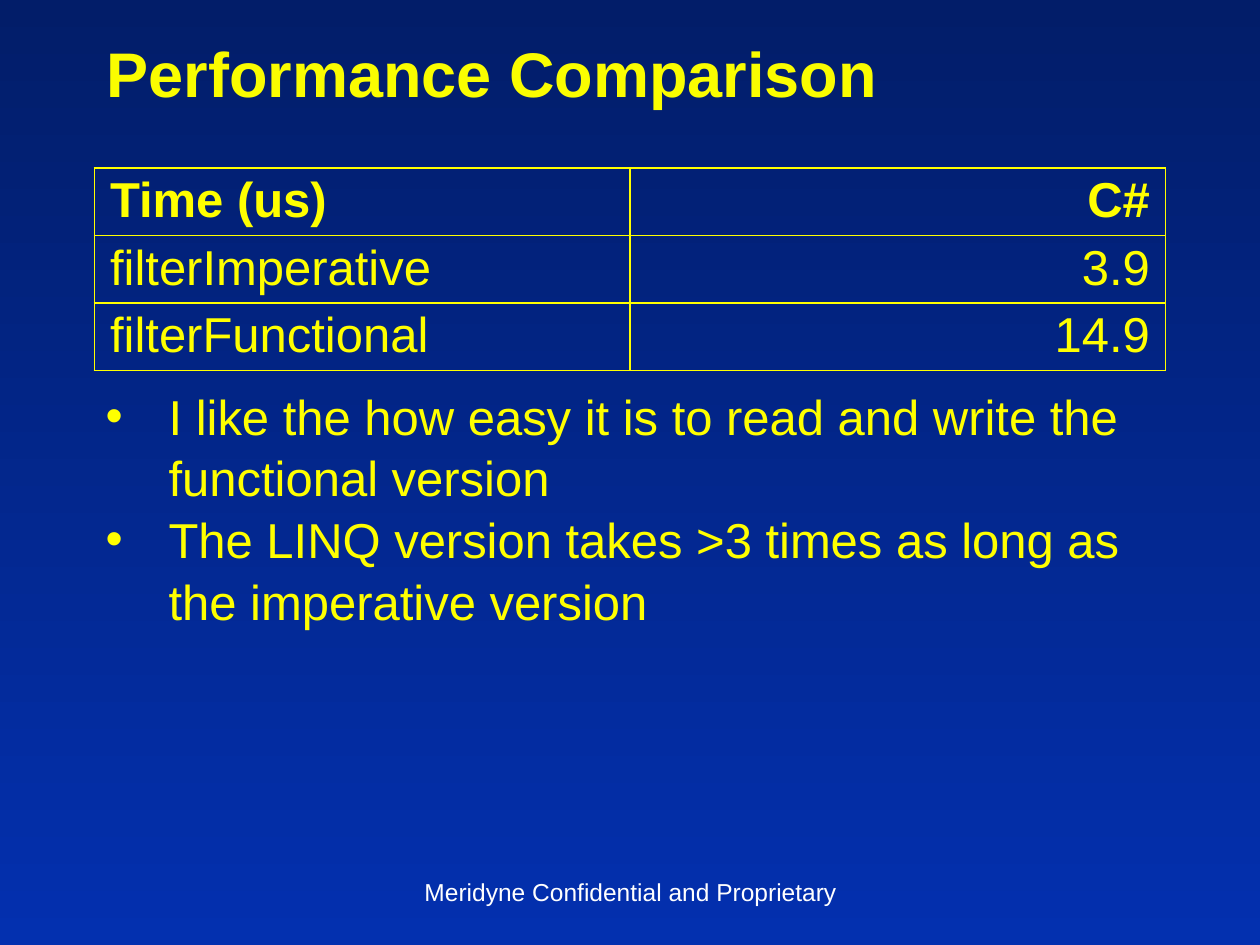
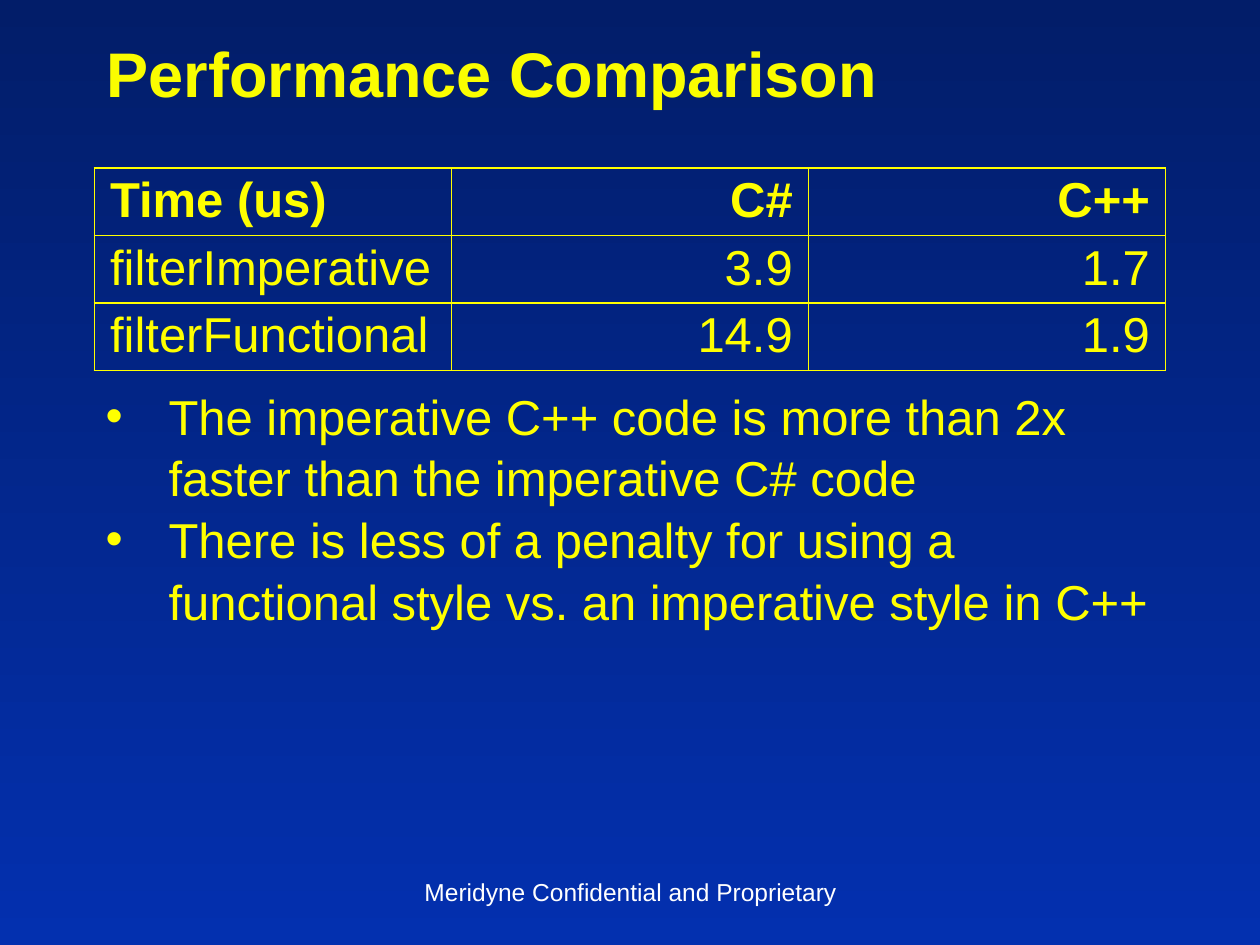
"""Build two slides that compare the run times of filter functions."""
from lxml import etree
from pptx import Presentation
from pptx.dml.color import RGBColor
from pptx.enum.text import MSO_ANCHOR, MSO_AUTO_SIZE, PP_ALIGN
from pptx.oxml.ns import qn
from pptx.util import Cm, Pt

LEFT, CENTER, RIGHT = PP_ALIGN.LEFT, PP_ALIGN.CENTER, PP_ALIGN.RIGHT
MIDDLE, BOTTOM = MSO_ANCHOR.MIDDLE, MSO_ANCHOR.BOTTOM
FIXED, GROW = MSO_AUTO_SIZE.NONE, MSO_AUTO_SIZE.SHAPE_TO_FIT_TEXT
TITLE_ONLY = 5

NAVY = RGBColor(0x02, 0x1D, 0x69)
BLUE = RGBColor(0x03, 0x30, 0xAF)
TITLE_YELLOW = RGBColor(0xFA, 0xFD, 0x00)
YELLOW = RGBColor(0xFF, 0xFF, 0x00)
WHITE = RGBColor(0xFF, 0xFF, 0xFF)
FONT = "Arial"

TITLE_BOX = (Cm(1.9), Cm(0.64), Cm(21.6), Cm(1.7))
TABLE_BOX = (Cm(1.9), Cm(3.39), Cm(21.6), Cm(4.08))
BULLET_BOX = (Cm(1.88), Cm(7.6), Cm(21.84), Cm(5.05))
FOOTER_BOX = (Cm(8.69), Cm(17.35), Cm(8.05), Cm(1.27))

TITLE = "Performance Comparison"
FOOTER = "Meridyne Confidential and Proprietary"
SLIDES = [
    (
        [("Time (us)", "C#"),
         ("filterImperative", "3.9"),
         ("filterFunctional", "14.9")],
        ["I like the how easy it is to read and write the functional version",
         "The LINQ version takes >3 times as long as the imperative version"],
    ),
    (
        [("Time (us)", "C#", "C++"),
         ("filterImperative", "3.9", "1.7"),
         ("filterFunctional", "14.9", "1.9")],
        ["The imperative C++ code is more than 2x faster than the imperative C# code",
         "There is less of a penalty for using a functional style "
         "vs. an imperative style in C++"],
    ),
]


def add_span(para, text, size, color, bold=False, align=LEFT):
    """Add one formatted run to an aligned paragraph."""
    para.alignment = align
    span = para.add_run()
    span.text = text
    span.font.name = FONT
    span.font.size = Pt(size)
    span.font.bold = bold
    span.font.color.rgb = color


def place(shape, box):
    """Move and size a shape to fit a box."""
    shape.left, shape.top, shape.width, shape.height = box


def paint_background(master):
    """Give every slide the vertical blue gradient."""
    fill = master.background.fill
    fill.gradient()
    fill.gradient_angle = 270
    for stop, color in zip(fill.gradient_stops, (NAVY, BLUE)):
        stop.color.rgb = color


def set_title(page, box, text):
    """Place and format the title placeholder."""
    title = page.shapes.title
    place(title, box)
    frame = title.text_frame
    frame.auto_size = FIXED
    frame.vertical_anchor = BOTTOM
    add_span(frame.paragraphs[0], text, 36, TITLE_YELLOW, bold=True)


def add_borders(cell, color, width):
    """Draw a solid line on all four sides of a cell."""
    properties = cell._tc.get_or_add_tcPr()
    for side in ("a:lnL", "a:lnR", "a:lnT", "a:lnB"):
        line = etree.SubElement(properties, qn(side), w=str(width))
        solid = etree.SubElement(line, qn("a:solidFill"))
        etree.SubElement(solid, qn("a:srgbClr"), val=str(color))


def add_timing_table(page, box, rows):
    """Add a bordered table with equal columns and a bold header row."""
    left, top, width, height = box
    table = page.shapes.add_table(len(rows), len(rows[0]), *box).table
    table.horz_banding = False
    for column in table.columns:
        column.width = width // len(rows[0])
    for row_index, row in enumerate(rows):
        table.rows[row_index].height = height // len(rows)
        for column_index, text in enumerate(row):
            cell = table.cell(row_index, column_index)
            cell.margin_left = cell.margin_right = Cm(0.32)
            cell.margin_top = cell.margin_bottom = Cm(0.11)
            add_borders(cell, YELLOW, Pt(1))
            cell.fill.background()
            add_span(cell.text_frame.paragraphs[0], text, 28, YELLOW,
                     bold=row_index == 0, align=RIGHT if column_index else LEFT)


def add_bullets(page, box, lines):
    """Add a text box of bulleted paragraphs with a hanging indent."""
    frame = page.shapes.add_textbox(*box).text_frame
    frame.word_wrap = True
    frame.auto_size = GROW
    for index, text in enumerate(lines):
        para = frame.add_paragraph() if index else frame.paragraphs[0]
        para.line_spacing = 1.05
        add_span(para, text, 28, YELLOW)
        properties = para._p.get_or_add_pPr()
        properties.set("marL", str(Cm(1.27)))
        properties.set("indent", str(-Cm(1.27)))
        etree.SubElement(properties, qn("a:buFont"), typeface=FONT)
        etree.SubElement(properties, qn("a:buChar"), char="•")


def add_footer(page, box, text):
    """Add the centred confidentiality line."""
    frame = page.shapes.add_textbox(*box).text_frame
    frame.word_wrap = False
    frame.auto_size = FIXED
    frame.vertical_anchor = MIDDLE
    add_span(frame.paragraphs[0], text, 14, WHITE, align=CENTER)


def add_comparison(deck, rows, lines):
    """Add one comparison slide with its table, bullets and footer."""
    page = deck.slides.add_slide(deck.slide_layouts[TITLE_ONLY])
    set_title(page, TITLE_BOX, TITLE)
    add_timing_table(page, TABLE_BOX, rows)
    add_footer(page, FOOTER_BOX, FOOTER)
    add_bullets(page, BULLET_BOX, lines)


def main():
    """Build and save the deck."""
    deck = Presentation()
    deck.slide_width, deck.slide_height = Cm(25.4), Cm(19.05)
    paint_background(deck.slide_master)
    for rows, lines in SLIDES:
        add_comparison(deck, rows, lines)
    deck.save("out.pptx")


main()
